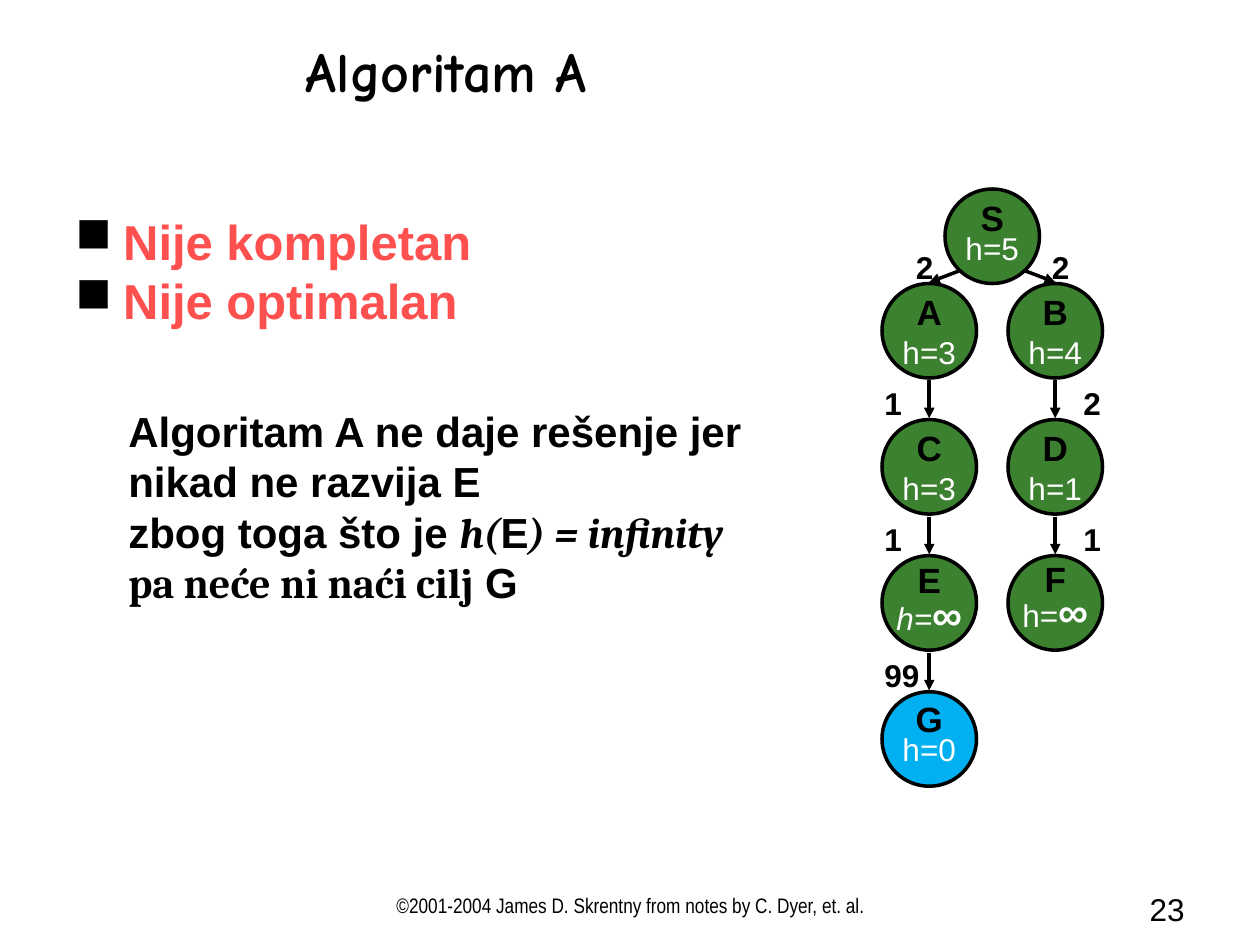
from lxml import etree
from pptx import Presentation
from pptx import util as u
from pptx.dml.color import RGBColor
from pptx.enum import shapes, text
from pptx.oxml import ns

WIDE, HIGH = 10, 7.5
INK = {"black": "000000", "white": "FFFFFF", "green": "3B812F",
       "blue": "00B0F0", "red": "FF5050"}
ALIGN = text.PP_ALIGN
SIDE, STEP, TOP, LEFT = 0.75, 1.08, 2.25, 7

NAME = {"size": 20, "bold": True}
COST = {"size": 18, "ink": "white"}
INF = ("∞", {"size": 24, "bold": True, "ink": "white"})
BODY = {"size": 24, "bold": True}
MATH = {**BODY, "face": "Cambria"}
SLANT = {**MATH, "italic": True}

NODES = {
    "S": (0.5, TOP - SIDE, [("h=5", COST)], [0.75]),
    "A": (0, TOP, [("h=3", COST)], [1]),
    "B": (1, TOP, [("h=4", COST)], [1]),
    "C": (0, TOP + STEP, [("h=3", COST)], [1]),
    "D": (1, TOP + STEP, [("h=1", COST)], [1]),
    "E": (0, TOP + 2 * STEP, [("h=", {**COST, "italic": True}), INF], [0.75]),
    "F": (1, TOP + 2 * STEP, [("h=", COST), INF], [0.65, 0.75]),
    "G": (0, TOP + 3 * STEP, [("h=0", COST)], [0.65, 0.75]),
}
EDGES = [("S", "A", "2", 7.17), ("S", "B", "2", 8.25),
         ("A", "C", "1", 6.92), ("B", "D", "2", 8.5),
         ("C", "E", "1", 6.92), ("D", "F", "1", 8.5),
         ("E", "G", "99", 6.92)]
POINTS = ["Nije kompletan", "Nije optimalan"]
REASON = [
    ("Algoritam A ne daje rešenje jer nikad ne razvija E", BODY), "br",
    ("zbog toga što je ", BODY), ("h(", SLANT), ("E", BODY),
    (") = infinity", SLANT), "br",
    ("pa neće ni naći cilj", MATH), (" G", BODY)]

deck = Presentation()
deck.slide_width, deck.slide_height = u.Inches(WIDE), u.Inches(HIGH)
page = deck.slides.add_slide(deck.slide_layouts[6])


def paint(font, size, bold=False, italic=False, ink="black", face="Arial"):
    font.size, font.name = u.Pt(size), face
    font.bold, font.italic = bold, italic
    font.color.rgb = RGBColor.from_string(INK[ink])


def fill(para, runs, align=ALIGN.LEFT, gap=1):
    para.alignment, para.line_spacing = align, gap
    for item in runs:
        if item == "br":
            para.add_line_break()
            continue
        words, style = item
        run = para.add_run()
        run.text = words
        paint(run.font if len(runs) > 1 else para.font, **style)


def box(spot, rows, wrap=True, anchor="TOP", **look):
    shape = page.shapes.add_textbox(*map(u.Inches, spot))
    frame = shape.text_frame
    frame.word_wrap = wrap
    frame.vertical_anchor = text.MSO_ANCHOR[anchor]
    for i, runs in enumerate(rows):
        para = frame.add_paragraph() if i else frame.paragraphs[0]
        fill(para, runs, **look)
    return frame


def node(name):
    col, top, cost, gaps = NODES[name]
    disc = page.shapes.add_shape(
        shapes.MSO_SHAPE.OVAL,
        *map(u.Inches, (LEFT + col, top, SIDE, SIDE)))
    disc.shadow.inherit = False
    disc.fill.solid()
    disc.fill.fore_color.rgb = RGBColor.from_string(
        INK["blue" if name == "G" else "green"])
    disc.line.color.rgb = RGBColor.from_string(INK["black"])
    disc.line.width = u.Pt(2)
    frame = disc.text_frame
    frame.word_wrap = False
    frame.vertical_anchor = text.MSO_ANCHOR.MIDDLE
    head = [(name, NAME)]
    rows = [head, cost] if len(gaps) > 1 else [head + ["br"] + cost]
    for i, (runs, gap) in enumerate(zip(rows, gaps)):
        para = frame.add_paragraph() if i else frame.paragraphs[0]
        fill(para, runs, ALIGN.CENTER, gap)


def edge(start, end, cost, left):
    (col, top, *_), (goal, low, *_) = NODES[start], NODES[end]
    mid, half = LEFT + SIDE / 2, SIDE / 2
    lean = (goal > col) - (goal < col)
    x, y = mid + col + lean * half * 0.7, top + SIDE
    y += -0.1 if lean else 0.02
    line = page.shapes.add_connector(
        shapes.MSO_CONNECTOR.STRAIGHT,
        *map(u.Inches, (x, y, mid + goal, low - 0.01)))
    line.line.color.rgb = RGBColor.from_string(INK["black"])
    line.line.width = u.Pt(2)
    prop = line._element.spPr
    etree.SubElement(prop.find(ns.qn("a:ln")), ns.qn("a:tailEnd"), type="triangle")
    etree.SubElement(prop, ns.qn("a:effectLst"))
    box((left, low - 0.33, 0.2 + 0.14 * len(cost), 0.4),
        [[(cost, {"size": 18, "bold": True})]], wrap=False)


def bullet(para):
    para.space_before = u.Pt(3.5)
    prop = para._p.get_or_add_pPr()
    prop.set("marL", str(u.Inches(0.38)))
    prop.set("indent", str(-u.Inches(0.38)))
    mark = etree.Element(ns.qn("a:buChar"), char="■")
    tint = etree.Element(ns.qn("a:buClr"))
    etree.SubElement(tint, ns.qn("a:srgbClr"), val=INK["black"])
    spot = prop.index(prop.find(ns.qn("a:defRPr")))
    prop.insert(spot, mark)
    prop.insert(spot, tint)


box((2.63, 7, 4.75, 0.33),
    [[("©2001-2004 James D. Skrentny from notes by C. Dyer, et. al.",
       {"size": 12, "face": "Arial Narrow"})]],
    anchor="BOTTOM", align=ALIGN.CENTER)
box((7.63, 7.03, 1.87, 0.38), [[("23", {"size": 18})]],
    anchor="BOTTOM", align=ALIGN.RIGHT)
box((2.33, 0.3, 7.42, 1.07),
    [[("Algoritam A", {"size": 32, "bold": True, "face": "Comic Neue"})]],
    gap=0.9)
for link in EDGES:
    edge(*link)
for name in NODES:
    node(name)
cause = box((0.92, 3.17, 5.67, 1.7), [REASON])
cause.paragraphs[0].space_before = u.Pt(15)
style = {"size": 28, "bold": True, "ink": "red"}
list_box = box((0.5, 1.68, 5.93, 1.24), [[(p, style)] for p in POINTS], gap=0.9)
for para in list_box.paragraphs:
    bullet(para)

deck.save("out.pptx")
